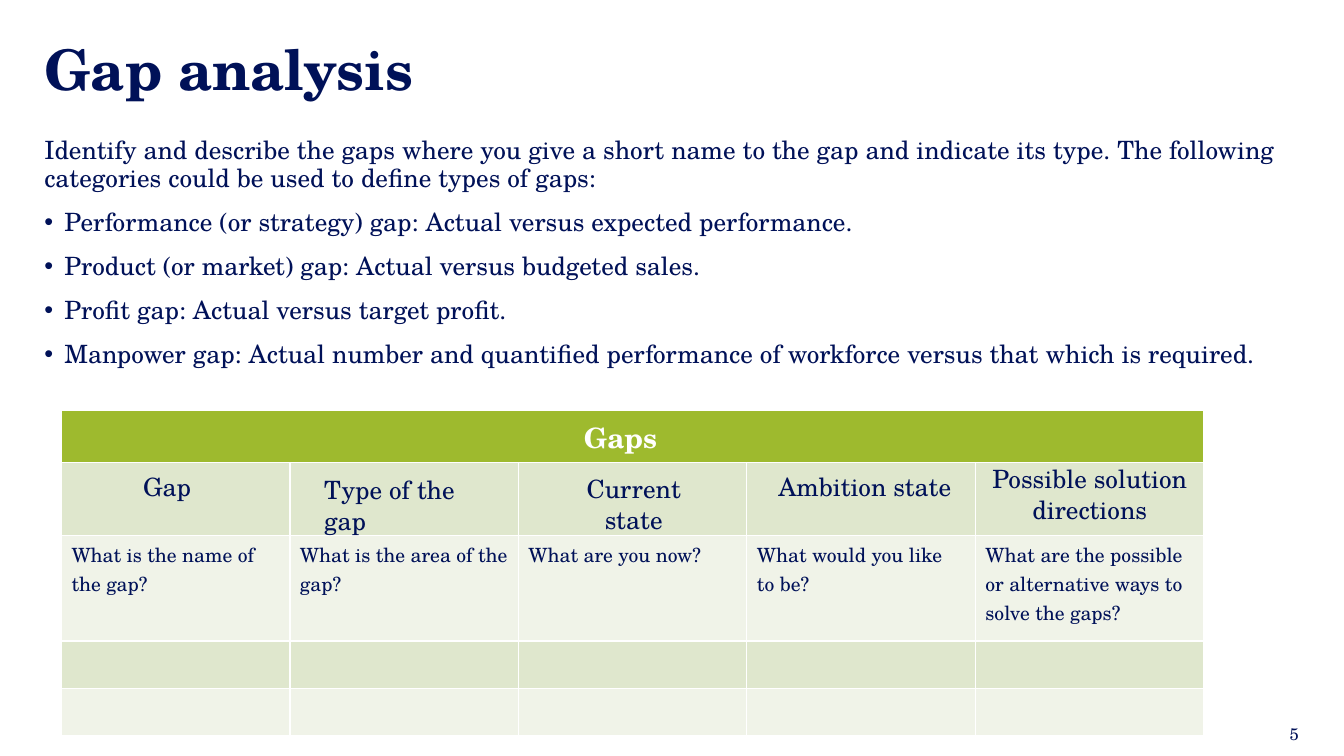
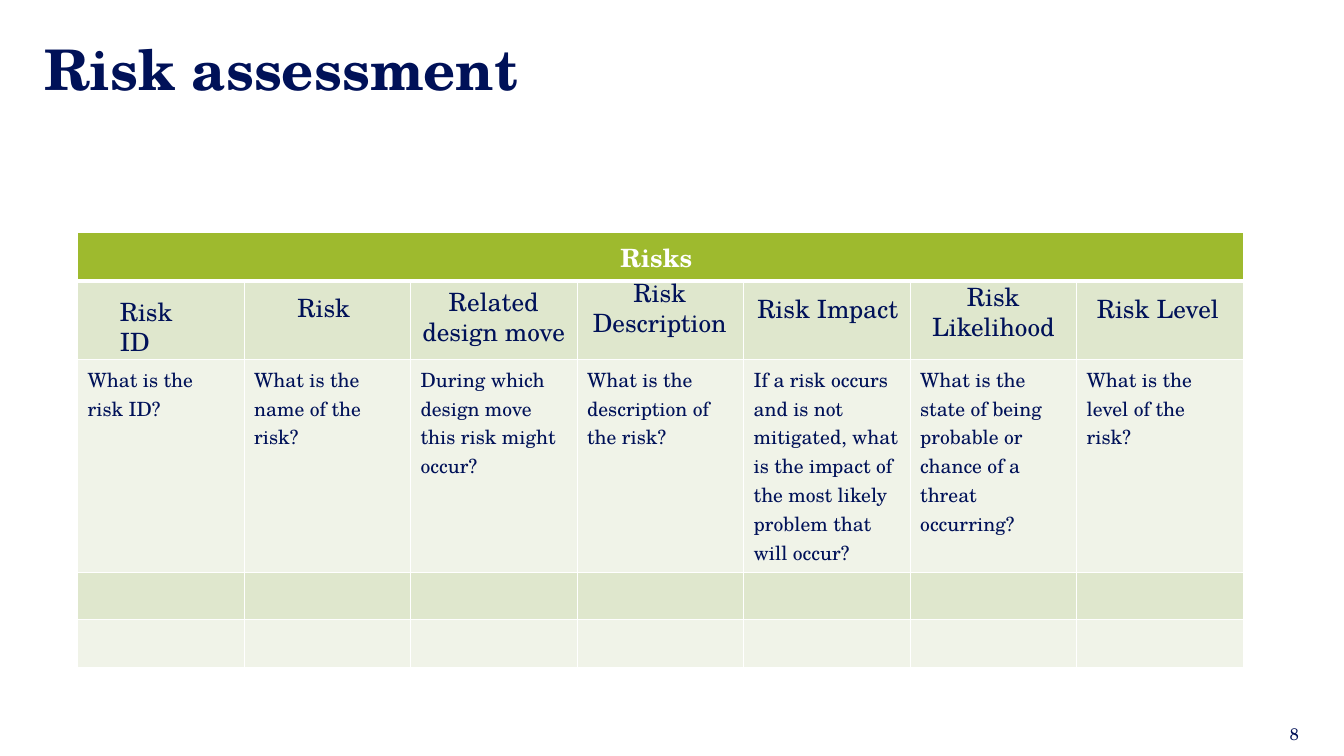
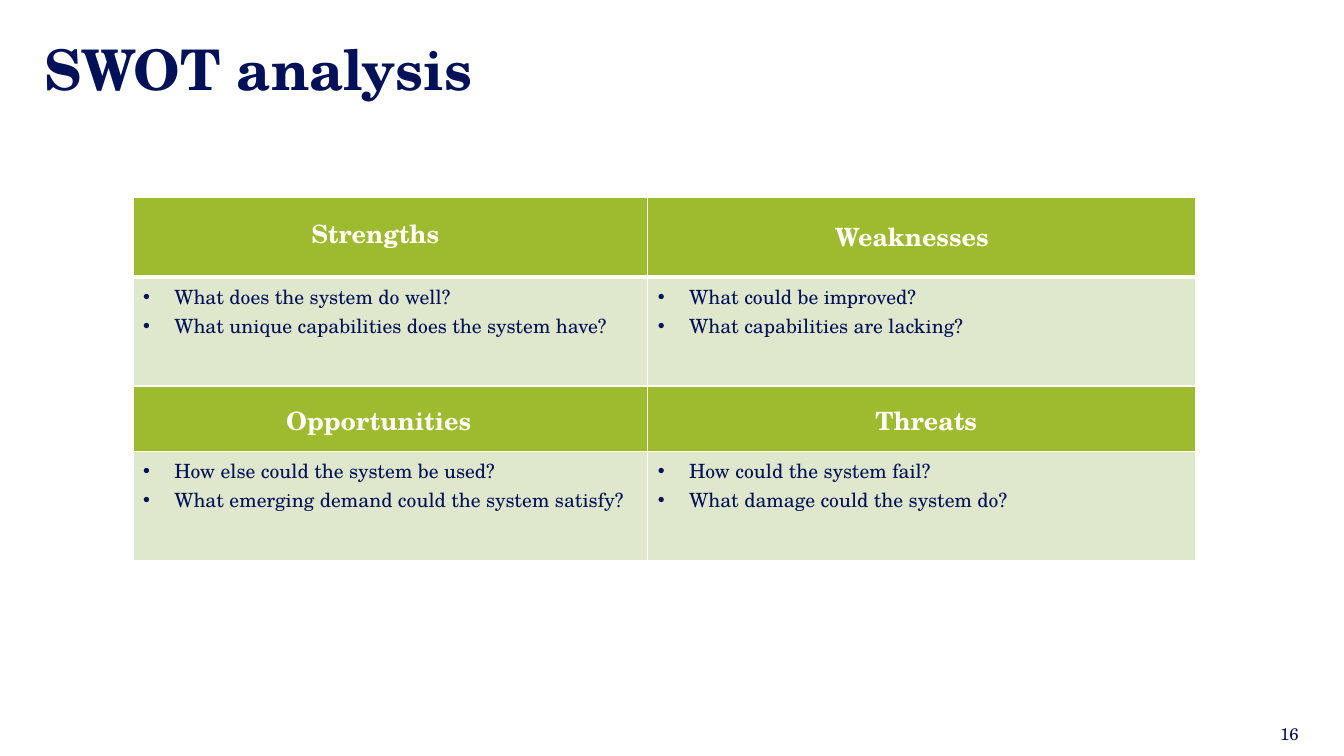
from lxml import etree
from pptx import Presentation
from pptx.dml.color import RGBColor
from pptx.enum.text import MSO_ANCHOR as Anchor, PP_ALIGN as Align
from pptx.oxml import parse_xml
from pptx.oxml.ns import nsdecls, qn
from pptx.util import Inches, Pt

# Shared look
WIDTH, HEIGHT = 13.34, 7.5
FONT, BULLET_FONT = "TeX Gyre Schola", "Arial"
NAVY, WHITE, GREEN = "001158", "FFFFFF", "9EBA2E"
SAGE, PALE = "DFE7CD", "F0F3E8"
TITLE = dict(size=40, bold=True)
HEADING = dict(size=18, color=WHITE, bold=True)
CENTER, LEFT = Align.CENTER, Align.LEFT


def rgb(color):
    return RGBColor.from_string(color)


def write(paragraph, text, size=18, color=NAVY, bold=False, **layout):
    """Fill a paragraph; layout holds paragraph attributes."""
    run = paragraph.add_run()
    run.text = text
    for name, value in dict(name=FONT, size=Pt(size), bold=bold).items():
        setattr(run.font, name, value)
    run.font.color.rgb = rgb(color)
    for name, value in layout.items():
        setattr(paragraph, name, value)


def add_bullet(paragraph, indent):
    properties = paragraph._p.get_or_add_pPr()
    properties.set("marL", str(Inches(indent)))
    properties.set("indent", str(-Inches(indent)))
    etree.SubElement(properties, qn("a:buFont")).set("typeface", BULLET_FONT)
    etree.SubElement(properties, qn("a:buChar")).set("char", "•")


def paragraphs(frame, count):
    """Yield the first paragraph of a frame, then new ones."""
    yield frame.paragraphs[0]
    for _ in range(count - 1):
        yield frame.add_paragraph()


def add_box(slide, box, inset=0, anchor=Anchor.TOP):
    shape = slide.shapes.add_textbox(*map(Inches, box))
    frame = shape.text_frame
    frame.word_wrap = True
    frame.vertical_anchor = anchor
    for side in ("left", "top", "right", "bottom"):
        setattr(frame, f"margin_{side}", Inches(inset))
    return frame


def add_slide(presentation, title, number):
    """Blank slide with the shared title and page number."""
    slide = presentation.slides.add_slide(presentation.slide_layouts[6])
    frame = add_box(slide, (0.44, 0.44, 12.46, 0.47), anchor=Anchor.MIDDLE)
    write(frame.paragraphs[0], title, **TITLE)
    frame = add_box(slide, (9.99, 7.08, 3, 0.4), 0.1, Anchor.MIDDLE)
    write(frame.paragraphs[0], number, size=12, alignment=Align.RIGHT)
    return slide


def set_borders(cell, top=1, bottom=1):
    properties = cell._tc.get_or_add_tcPr()
    widths = dict(lnL=1, lnR=1, lnT=top, lnB=bottom)
    for position, (tag, width) in enumerate(widths.items()):
        properties.insert(position, parse_xml(
            f'<a:{tag} {nsdecls("a")} w="{Pt(width)}"><a:solidFill>'
            f'<a:srgbClr val="{WHITE}"/></a:solidFill></a:{tag}>'))


def add_grid(slide, left, top, columns, rows, fills, header_line=1):
    """Table with one fill per row and white rules."""
    box = map(Inches, (left, top, sum(columns), sum(rows)))
    table = slide.shapes.add_table(len(rows), len(columns), *box).table
    for column, width in zip(table.columns, columns):
        column.width = Inches(width)
    for index, (row, height) in enumerate(zip(table.rows, rows)):
        row.height = Inches(height)
        for cell in row.cells:
            cell.fill.solid()
            cell.fill.fore_color.rgb = rgb(fills[index])
            set_borders(cell, top=header_line if index == 1 else 1,
                        bottom=header_line if index == 0 else 1)
    return table


def add_label(slide, left, top, label, **style):
    """Heading laid over a cell whose corner is at left, top."""
    text, shift, drop, width, align = label
    frame = add_box(slide, (left + shift, top + drop, width, 0.45), 0.12)
    write(frame.paragraphs[0], text, alignment=align, **style)


def add_register(slide, left, top, width, rows, header, size, header_pad,
                 columns, header_line=1):
    """Banner, column headings, guiding questions and two empty rows."""
    step = width / len(columns)
    table = add_grid(slide, left, top, [step] * len(columns), rows,
                     (GREEN, SAGE, PALE, SAGE, PALE), header_line)
    banner = table.cell(0, 0)
    banner.merge(table.cell(0, len(columns) - 1))
    banner.margin_right = Inches(0.1 + header_pad)
    write(banner.text_frame.paragraphs[0], header, size, WHITE, True,
          alignment=CENTER)
    for index, (question, *label) in enumerate(columns):
        write(table.cell(2, index).text_frame.paragraphs[0], question, size=14)
        add_label(slide, left + index * step, top + rows[0], label)


def add_swot(slide, left, top, columns, rows, quadrants):
    """Two by two quadrants, each a heading cell over a bulleted cell."""
    table = add_grid(slide, left, top, columns, rows,
                     (GREEN, SAGE, GREEN, SAGE), header_line=3)
    for index, (questions, *label) in enumerate(quadrants):
        row, column = 2 * (index // 2), index % 2
        frame = table.cell(row + 1, column).text_frame
        for paragraph, text in zip(paragraphs(frame, len(questions)), questions):
            write(paragraph, text, size=14)
            add_bullet(paragraph, 0.31)
        add_label(slide, left + sum(columns[:column]), top + sum(rows[:row]),
                  label, **HEADING)


def add_body(slide, box, intro, points):
    frame = add_box(slide, box)
    texts = [intro, *points]
    for index, paragraph in enumerate(paragraphs(frame, len(texts))):
        write(paragraph, texts[index], line_spacing=0.9,
              space_before=Pt(6), space_after=Pt(6))
        if index:
            add_bullet(paragraph, 0.2)


# Content: question or questions, heading, shift, drop, width, alignment
GAP_POINTS = (
    "Performance (or strategy) gap: Actual versus expected performance.",
    "Product (or market) gap: Actual versus budgeted sales.",
    "Profit gap: Actual versus target profit.",
    "Manpower gap: Actual number and quantified performance of workforce "
    "versus that which is required.",
)
GAP_COLUMNS = (
    ("What is the name of the gap?", "Gap", 0.69, -0.03, 1.5, LEFT),
    ("What is the area of the gap?", "Type of the gap", 0.22, 0, 1.97, LEFT),
    ("What are you now?", "Current state", 0.24, -0.01, 1.81, CENTER),
    ("What would you like to be?", "Ambition state", -0.09, -0.03, 2.52, CENTER),
    ("What are the possible or alternative ways to solve the gaps?",
     "Possible solution directions", -0.03, -0.11, 2.33, CENTER),
)
RISK_COLUMNS = (
    ("What is the risk ID?", "Risk ID", 0.3, 0.03, 1.1, LEFT),
    ("What is the name of the risk?", "Risk", 0.41, -0.01, 1.1, LEFT),
    ("During which design move this risk might occur?",
     "Related design move", -0.13, -0.07, 1.91, CENTER),
    ("What is the description of the risk?",
     "Risk Description", -0.04, -0.16, 1.72, CENTER),
    ("If a risk occurs and is not mitigated, what is the impact of the most "
     "likely problem that will occur?",
     "Risk Impact", -0.11, 0, 1.89, CENTER),
    ("What is the state of being probable or chance of a threat occurring?",
     "Risk Likelihood", -0.05, -0.12, 1.75, CENTER),
    ("What is the level of the risk?", "Risk Level", 0.08, 0, 1.95, LEFT),
)
SWOT_QUADRANTS = (
    (("What does the system do well?",
      "What unique capabilities does the system have?"),
     "Strengths", 1.65, 0.09, 2.36, LEFT),
    (("What could be improved?", "What capabilities are lacking?"),
     "Weaknesses", 1.74, 0.12, 2.52, LEFT),
    (("How else could the system be used?",
      "What emerging demand could the system satisfy?"),
     "Opportunities", 1.14, 0.07, 2.6, CENTER),
    (("How could the system fail?", "What damage could the system do?"),
     "Threats", 2.14, 0.07, 2.83, LEFT),
)


def main():
    presentation = Presentation()
    presentation.slide_width = Inches(WIDTH)
    presentation.slide_height = Inches(HEIGHT)

    # Gap analysis
    slide = add_slide(presentation, "Gap analysis", "5")
    add_body(slide, (0.44, 1.37, 12.46, 2.5),
             "Identify and describe the gaps where you give a short name to the "
             "gap and indicate its type. The following categories could be used "
             "to define types of gaps:", GAP_POINTS)
    add_register(slide, 0.61, 4.07, 11.34, (0.52, 0.72, 1.05, 0.47, 0.47),
                 "Gaps", 20, 0.24, GAP_COLUMNS)

    # Risk assessment
    slide = add_slide(presentation, "Risk assessment", "8")
    add_register(slide, 0.77, 2.31, 11.57, (0.48, 0.78, 2.11, 0.47, 0.47),
                 "Risks", 18, 0.08, RISK_COLUMNS, header_line=3)

    # SWOT analysis
    slide = add_slide(presentation, "SWOT analysis", "16")
    add_swot(slide, 1.32, 1.96, (5.11, 5.44), (0.79, 1.08, 0.65, 1.08),
             SWOT_QUADRANTS)

    presentation.save("out.pptx")


if __name__ == "__main__":
    main()
